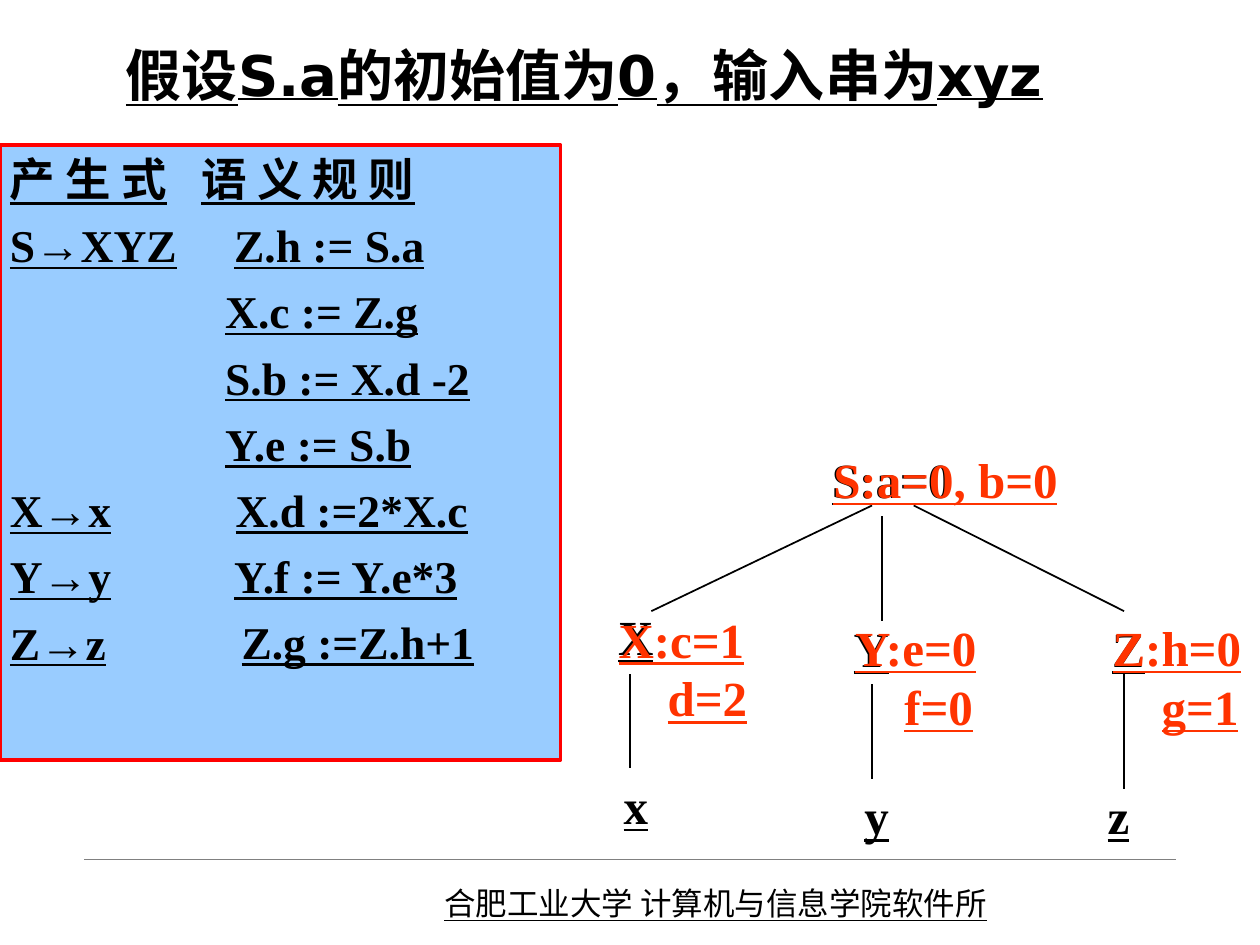
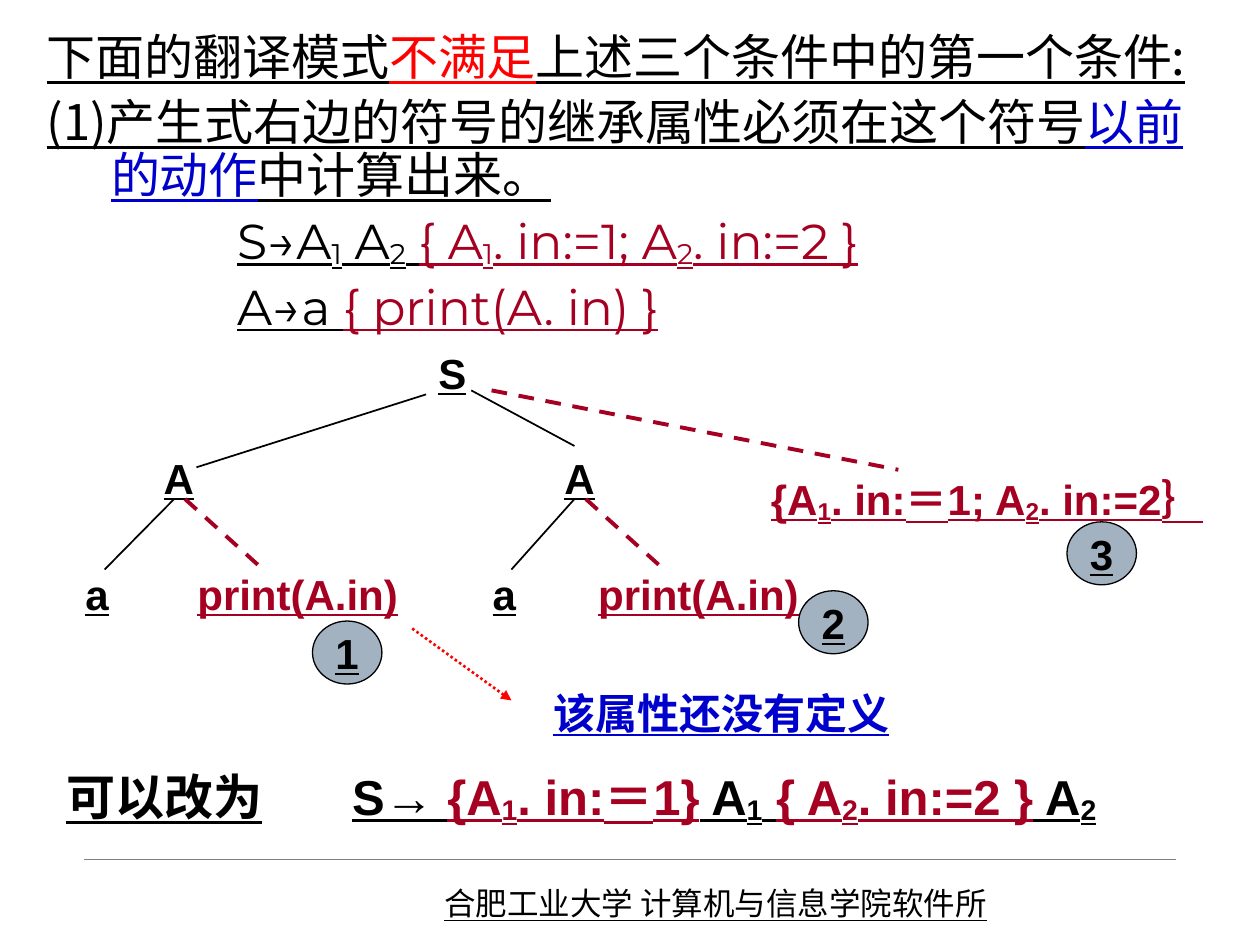
from lxml import etree
from pptx import Presentation
from pptx import util as u
from pptx.dml import color
from pptx.enum import dml, shapes, text
from pptx.oxml import ns

COLOURS = {
    "ink": "000000", "rule": "808080", "white": "FFFFFF",
    "red": "FF0000", "attribute": "FF3300", "blue": "0000CC",
    "action": "A50021", "panel": "99CCFF", "badge": "A3B2C1",
}
SERIF, SANS, HEAD = "Times New Roman", "Arial", "DejaVu Sans"
FORMULA, CHINESE = "Montserrat", "Noto Sans CJK SC"
FOOTER = "合肥工业大学 计算机与信息学院软件所"


def rgb(name):
    return color.RGBColor.from_string(COLOURS[name])


def child(parent, tag, **attributes):
    return etree.SubElement(parent, ns.qn(tag), **attributes)


def write(paragraph, content, font=SANS, size=24, colour="ink", bold=True):
    """Add underlined text; the character after each "_" is a subscript."""
    first, *rest = content.split("_")
    pieces = [(first, False)]
    for part in rest:
        pieces += [(part[0], True), (part[1:], False)]
    for piece, lowered in pieces:
        if not piece:
            continue
        run = paragraph.add_run()
        run.text = piece
        run.font.name, run.font.size = font, u.Pt(size)
        run.font.bold, run.font.underline = bold, True
        run.font.color.rgb = rgb(colour)
        properties = run.font._element
        child(properties, "a:ea", typeface=CHINESE)
        if lowered:
            properties.set("baseline", "-11000")


class Deck:
    def __init__(self):
        self.file = Presentation()
        self.file.slide_width, self.file.slide_height = u.Cm(25.4), u.Cm(19.05)
        self.slide = None

    def new_slide(self):
        self.slide = self.file.slides.add_slide(self.file.slide_layouts[6])
        self.slide.background.fill.solid()
        self.slide.background.fill.fore_color.rgb = rgb("white")
        self.line(1.7, 17.32, 23.7, 17.32, colour="rule", width=0.25)
        self.label(FOOTER, 8.71, 17.7, 13.2, 1.02, font=CHINESE, size=18, bold=False)

    def frame(self, shape, insets=(0.25, 0.13, 0.25, 0.13), middle=False, wrap=True):
        frame = shape.text_frame
        (frame.margin_left, frame.margin_top,
         frame.margin_right, frame.margin_bottom) = map(u.Cm, insets)
        frame.word_wrap = wrap
        frame.vertical_anchor = text.MSO_ANCHOR.MIDDLE if middle else text.MSO_ANCHOR.TOP
        return frame

    def box(self, left, top, width, height, **layout):
        area = map(u.Cm, (left, top, width, height))
        return self.frame(self.slide.shapes.add_textbox(*area), **layout)

    def paragraph(self, frame, runs, indent=0, hanging=0, before=0,
                  spacing=None, centred=False, **style):
        """Runs are a string or a list of (text, changed format) pairs."""
        started = bool(frame.paragraphs[0].runs)
        paragraph = frame.add_paragraph() if started else frame.paragraphs[0]
        properties = paragraph._p.get_or_add_pPr()
        properties.set("marL", str(u.Cm(indent)))
        properties.set("indent", str(u.Cm(-hanging)))
        paragraph.alignment = text.PP_ALIGN.CENTER if centred else text.PP_ALIGN.LEFT
        if started:
            paragraph.space_before = u.Pt(before)
        if spacing:
            paragraph.line_spacing = spacing
        for content, changes in [(runs, {})] if isinstance(runs, str) else runs:
            write(paragraph, content, **{**style, **changes})

    def label(self, runs, left, top, width, height=1.27, **style):
        self.paragraph(self.box(left, top, width, height), runs, **style)

    def node(self, name, left, top, width, **style):
        frame = self.box(left, top, width, 1.47, middle=True, wrap=False)
        self.paragraph(frame, name, centred=True, font=SERIF, size=28, **style)

    def shape(self, kind, left, top, width, height, fill, line, weight):
        shape = self.slide.shapes.add_shape(kind, *map(u.Cm, (left, top, width, height)))
        shape.shadow.inherit = False
        shape.fill.solid()
        shape.fill.fore_color.rgb = rgb(fill)
        shape.line.color.rgb, shape.line.width = rgb(line), u.Pt(weight)
        return shape

    def badge(self, number, left, top):
        oval = self.shape(shapes.MSO_SHAPE.OVAL, left, top, 1.4, 1.27, "badge", "ink", 0.75)
        self.paragraph(self.frame(oval, middle=True, wrap=False), number, centred=True)

    def line(self, x1, y1, x2, y2, colour="ink", width=1, dash=None, arrow=False):
        line = self.slide.shapes.add_connector(
            shapes.MSO_CONNECTOR.STRAIGHT, *map(u.Cm, (x1, y1, x2, y2)))
        line.line.color.rgb, line.line.width = rgb(colour), u.Pt(width)
        if dash:
            line.line.dash_style = dash
        if arrow:
            child(line.line._get_or_add_ln(), "a:tailEnd", type="triangle")
        child(line._element.spPr, "a:effectLst")

    def action_line(self, *ends):
        self.line(*ends, colour="action", width=2.25, dash=dml.MSO_LINE.DASH)


def annotated_tree(deck):
    deck.new_slide()
    title = deck.box(2.29, 0.71, 21.59, 1.57, middle=True)
    deck.paragraph(title, "假设S.a的初始值为0，输入串为xyz", font=HEAD, size=32)

    # Tree symbols
    for symbol, left, top, width in [
            ("S:a=0", 16.08, 8.92, 3.81), ("X", 11.23, 12.09, 3.18),
            ("Y", 16.08, 12.32, 2.97), ("Z", 21.16, 12.32, 3.18),
            ("x", 11.23, 15.49, 3.18), ("y", 16.08, 15.7, 3.18),
            ("z", 20.96, 15.7, 3.18)]:
        deck.node(symbol, left, top, width)

    # Branches
    for branch in [(17.58, 10.19, 13.13, 12.32), (17.78, 10.41, 17.78, 12.52),
                   (18.42, 10.19, 22.66, 12.32), (12.7, 13.59, 12.7, 15.49),
                   (17.58, 13.79, 17.58, 15.7), (22.66, 13.59, 22.66, 15.9)]:
        deck.line(*branch)

    # Attribute values
    deck.node("S:a=0, b=0", 15.67, 8.92, 6.78, colour="attribute")
    for inherited, synthesized, left, top, inset in [
            ("Z:h=0", "g=1", 22.23, 12.52, (0.2, 0.03)),
            ("X:c=1", "d=2", 12.27, 12.32, (0.2, 0.08)),
            ("Y:e=0", "f=0", 16.94, 12.52, (0.3, 0.03))]:
        values = deck.box(left, top, 3.17, 2.34, insets=(*inset, 0, 0.13), middle=True)
        for value, indent in [(inherited, 0), (synthesized, 0.99)]:
            deck.paragraph(values, value, indent=indent, font=SERIF, size=28,
                           colour="attribute")

    # Productions; X→x stands below the four rules of S
    area, insets = (0, 2.92, 11.3, 12.4), (0.2, 0.13, 0, 0.13)
    panel = deck.shape(shapes.MSO_SHAPE.RECTANGLE, *area, "panel", "red", 2)
    productions = deck.frame(panel, insets=insets)
    row_gap, row_pitch = 6.6, 37.86
    for production, skipped_rows in [("产 生 式", 0), ("S→XYZ", 0), ("X→x", 3),
                                     ("Y→y", 0), ("Z→z", 0)]:
        deck.paragraph(productions, production, font=SERIF, size=26,
                       before=row_gap + skipped_rows * row_pitch)

    # Semantic rules
    rules = deck.box(*area, insets=insets)
    for rule, indent in [
            ("语 义 规 则", 3.86), ("Z.h := S.a", 4.52), ("X.c := Z.g", 4.34),
            ("S.b := X.d -2", 4.34), ("Y.e := S.b", 4.34), ("X.d :=2*X.c", 4.55),
            ("Y.f := Y.e*3", 4.52), ("Z.g :=Z.h+1", 4.67)]:
        deck.paragraph(rules, rule, indent=indent, before=row_gap, font=SERIF, size=26)


def translation_scheme(deck):
    deck.new_slide()
    red, blue, action = ({"colour": name} for name in ("red", "blue", "action"))

    # Condition and scheme
    condition = deck.box(0.69, 0.53, 24.21, 6.4)
    body = dict(size=28, bold=False, before=7.1, spacing=0.9)
    for runs in [
            [("下面的翻译模式", {}), ("不满足", red), ("上述三个条件中的第一个条件:", {})],
            [("(1)产生式右边的符号的继承属性必须在这个符号", {}),
             ("以前的动作", blue), ("中计算出来。", {})]]:
        deck.paragraph(condition, runs, indent=1.3, hanging=1.3, font=CHINESE, **body)
    for runs in [[("S→A_1 A_2 ", {}), ("{ A_1. in:=1; A_2. in:=2 }", action)],
                 [("A→a ", {}), ("{ print(A. in) }", action)]]:
        deck.paragraph(condition, runs, indent=3.84, font=FORMULA, **body)

    # Corrected production
    deck.label("可以改为", 1.09, 15.32, 5, 1.47, size=28)
    deck.label([("S→ ", {}), ("{A_1. in:＝1}", action), (" A_1 ", {}),
                ("{ A_2. in:=2 }", action), (" A_2", {})],
               6.85, 15.32, 17.46, 1.47, size=28)

    # Parse tree
    for symbol, left, top in [("S", 8.59, 6.88), ("A", 3.05, 8.99), ("a", 1.47, 11.33),
                              ("A", 11.13, 8.99), ("a", 9.68, 11.33)]:
        deck.label(symbol, left, top, 1.5)
    for branch in [(8.59, 7.95, 3.96, 9.42), (3.51, 10.06, 2.11, 11.48),
                   (9.5, 7.87, 11.58, 8.99), (11.58, 10.06, 10.31, 11.48)]:
        deck.line(*branch)

    # Actions in the tree
    for left in (3.73, 11.81):
        deck.label("print(A.in)", left, 11.33, 4.62, colour="action")
        deck.action_line(left, 10.06, left + 1.63, 11.53)
    deck.action_line(9.91, 7.87, 18.11, 9.47)
    deck.label("{A_1. in:＝1; A_2. in:=2｝", 15.29, 9.42, 10.11, 1.3, colour="action")

    # Order of execution
    for number, left, top in [("1", 6.3, 12.52), ("2", 16.1, 11.91), ("3", 21.51, 10.52)]:
        deck.badge(number, left, top)
    deck.line(8.31, 12.67, 10.31, 14.12, colour="red", width=1.5,
              dash=dml.MSO_LINE.ROUND_DOT, arrow=True)
    deck.label("该属性还没有定义", 10.9, 13.72, 11, colour="blue")


def main():
    deck = Deck()
    annotated_tree(deck)
    translation_scheme(deck)
    deck.file.save("out.pptx")


if __name__ == "__main__":
    main()
